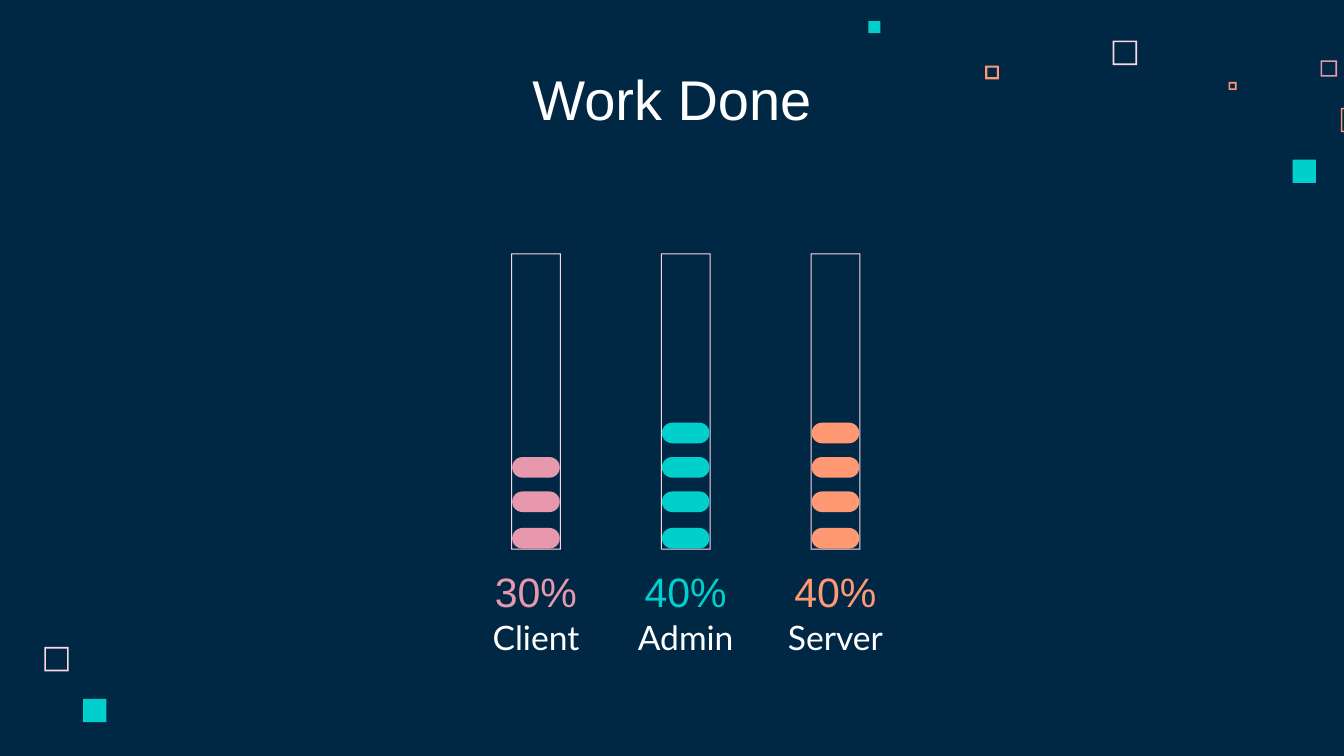
import pptx
import pptx.dml.color
import pptx.enum.shapes
import pptx.enum.text
import pptx.util

Cm = pptx.util.Cm
SHAPE = pptx.enum.shapes.MSO_SHAPE

NAVY, WHITE = "002845", "FFFFFF"
BLUSH, PINK, TEAL, ORANGE = "FFD6E1", "E898AC", "00CFCC", "FF9973"


def color(hex_code):
    return pptx.dml.color.RGBColor.from_string(hex_code)


class Deck:
    """Holds the style and the current slide."""

    heading_font, label_font = "Arial", "Lato"
    frame_format = {
        "word_wrap": True,
        "auto_size": pptx.enum.text.MSO_AUTO_SIZE.NONE,
        "vertical_anchor": pptx.enum.text.MSO_ANCHOR.BOTTOM,
        **{f"margin_{side}": Cm(0.25) for side in ("left", "top", "right", "bottom")},
    }

    def __init__(self, width, height):
        self.presentation = pptx.Presentation()
        self.presentation.slide_width = Cm(width)
        self.presentation.slide_height = Cm(height)

    def new_slide(self, background):
        title_only = self.presentation.slide_layouts[5]
        self.slide = self.presentation.slides.add_slide(title_only)
        self.slide.background.fill.solid()
        self.slide.background.fill.fore_color.rgb = color(background)

    def set_text(self, holder, text, font, size, hex_code):
        for name, value in self.frame_format.items():
            setattr(holder.text_frame, name, value)
        paragraph = holder.text_frame.paragraphs[0]
        paragraph.text = text
        paragraph.alignment = pptx.enum.text.PP_ALIGN.CENTER
        font_format = {"name": font, "size": pptx.util.Pt(size), "bold": False}
        for name, value in font_format.items():
            setattr(paragraph.font, name, value)
        paragraph.font.color.rgb = color(hex_code)

    def title(self, text, left, top, width, height):
        heading = self.slide.shapes.title
        place = {"left": left, "top": top, "width": width, "height": height}
        for name, value in place.items():
            setattr(heading, name, Cm(value))
        self.set_text(heading, text, self.heading_font, 30, WHITE)

    def label(self, text, center, top, width, font, size, hex_code):
        box = self.slide.shapes.add_textbox(
            Cm(center - width / 2), Cm(top), Cm(width), Cm(1.09))
        self.set_text(box, text, font, size, hex_code)

    def shape(self, kind, left, top, width, height, hex_code, adjustment=None, group=None):
        parent = group or self.slide
        part = parent.shapes.add_shape(kind, Cm(left), Cm(top), Cm(width), Cm(height))
        part.shadow.inherit = False
        part.fill.solid()
        part.fill.fore_color.rgb = color(hex_code)
        part.line.fill.background()
        if adjustment is not None:
            part.adjustments[0] = adjustment

    def square(self, left, top, side, hex_code):
        self.shape(SHAPE.RECTANGLE, left, top, side, side, hex_code)

    def outline(self, left, top, width, height, hex_code, thickness, group=None):
        self.shape(SHAPE.FRAME, left, top, width, height, hex_code,
                   thickness / min(width, height), group)

    def gauge(self, center, pill_tops, hex_code):
        group = self.slide.shapes.add_group_shape()
        self.outline(center - 0.47, 4.79, 0.94, 5.6, BLUSH, 0.02, group)
        for top in pill_tops:
            self.shape(SHAPE.ROUNDED_RECTANGLE, center - 0.45, top, 0.9, 0.39,
                       hex_code, 0.5, group)

    def save(self):
        self.presentation.save("out.pptx")


def main():
    deck = Deck(25.4, 14.29)
    deck.new_slide(NAVY)

    # Scattered squares in the corners
    for left, top, side, hex_code, thickness in (
        (21.03, 0.77, 0.46, BLUSH, 0.03),
        (24.96, 1.14, 0.31, PINK, 0.03),
        (23.22, 1.55, 0.15, ORANGE, 0.03),
        (25.34, 2.04, 0.46, ORANGE, 0.03),
        (18.62, 1.24, 0.26, ORANGE, 0.04),
        (0.84, 12.23, 0.46, BLUSH, 0.03),
    ):
        deck.outline(left, top, side, side, hex_code, thickness)
    for left, top, side in ((24.43, 3.02, 0.44), (16.41, 0.4, 0.23), (1.57, 13.21, 0.44)):
        deck.square(left, top, side, TEAL)

    deck.title("Work Done", 0, 1.14, 25.4, 1.6)

    # Gauges: one pill for every ten percent, filled from the bottom
    pill_tops = (9.98, 9.29, 8.64, 7.99)
    shares = (("Client", 30, PINK, 2.51), ("Admin", 40, TEAL, 3.12), ("Server", 40, ORANGE, 2.51))
    for index, (role, percent, hex_code, role_width) in enumerate(shares):
        center = 10.13 + 2.83 * index
        deck.gauge(center, pill_tops[:percent // 10], hex_code)
        deck.label(role, center, 11.58, role_width, deck.label_font, 18, WHITE)
        deck.label(f"{percent}%", center, 10.8, 2.51, deck.heading_font, 22, hex_code)

    deck.save()


if __name__ == "__main__":
    main()
